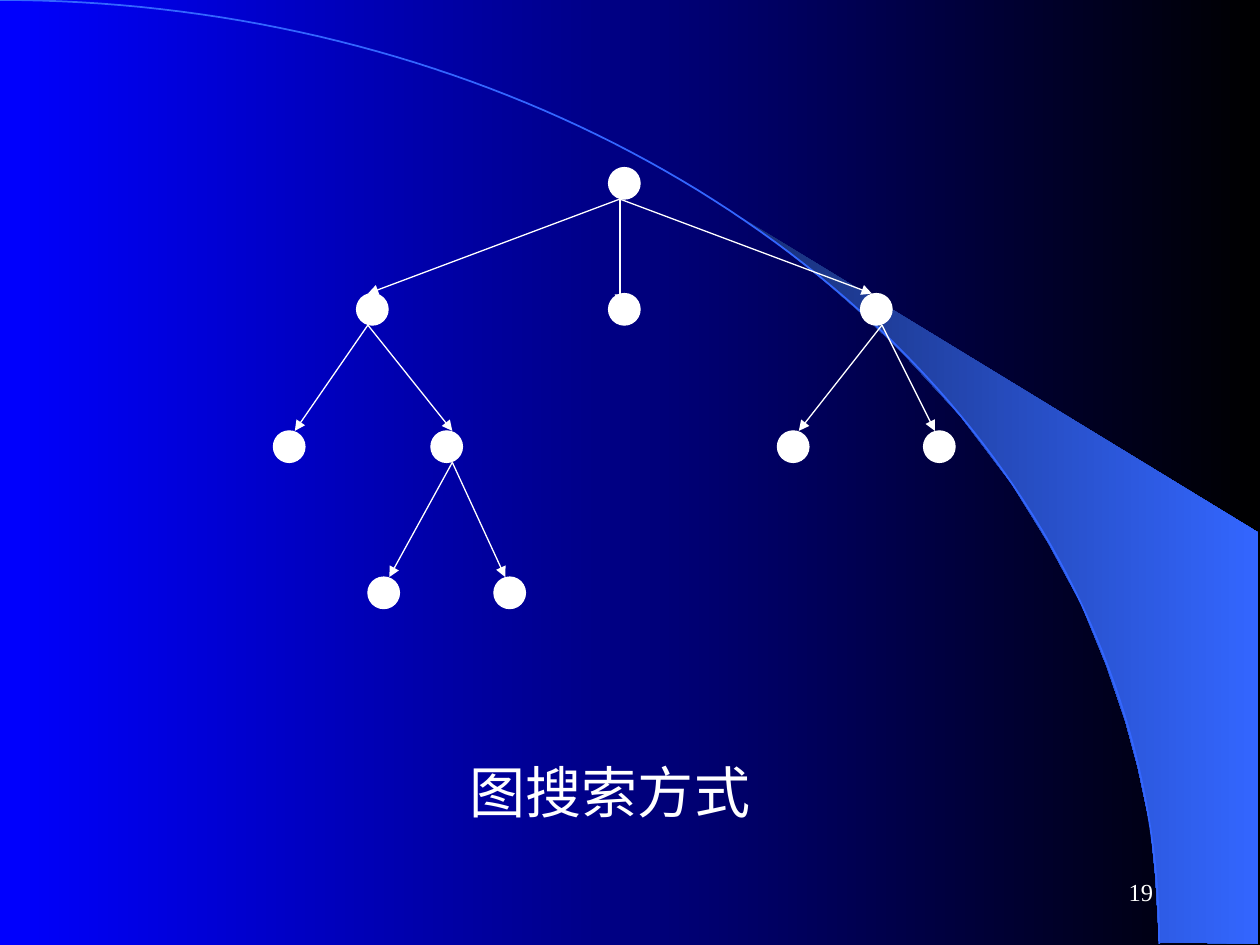
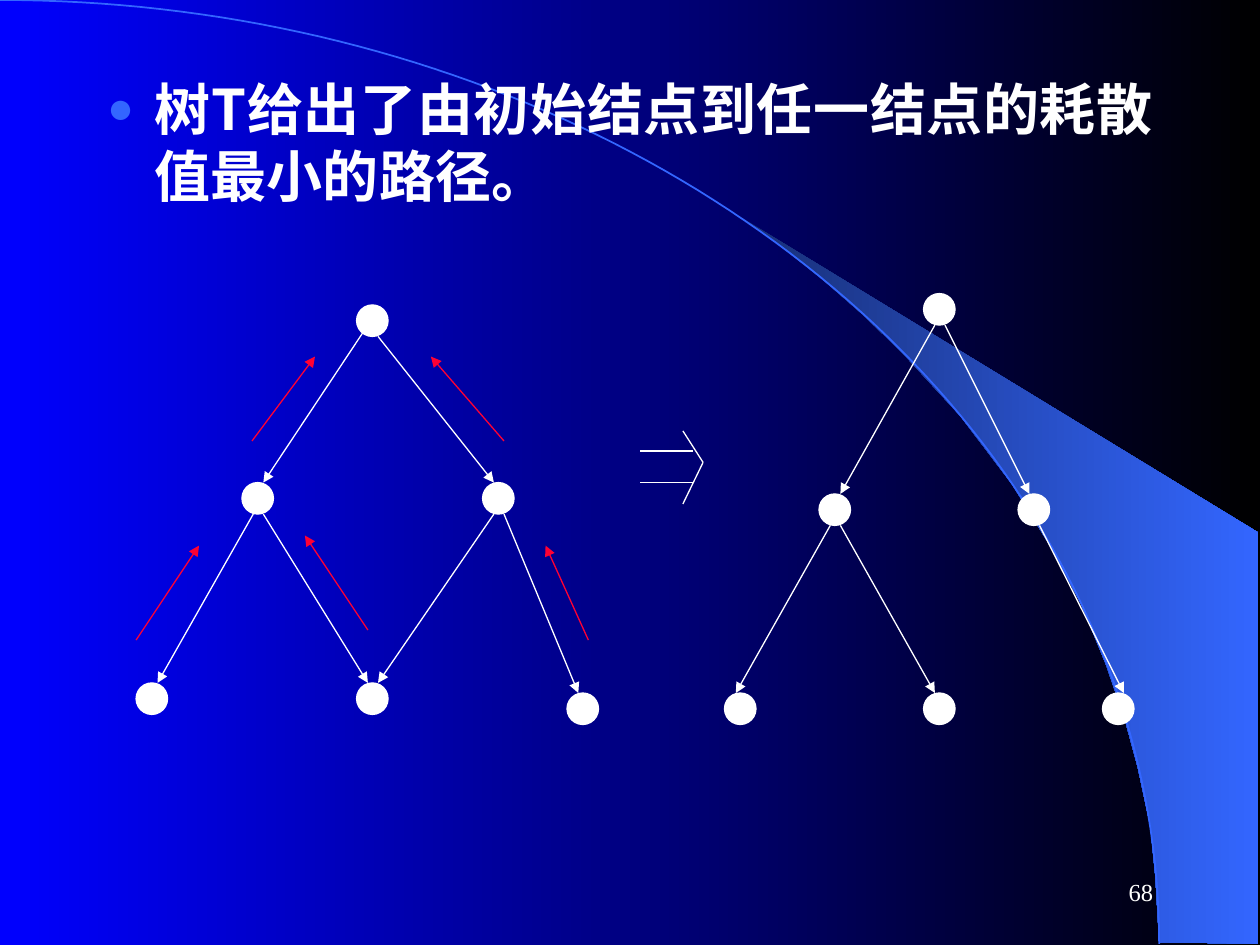
from math import cos, pi, sin

from pptx import Presentation
from pptx.dml.color import RGBColor
from pptx.enum.shapes import MSO_CONNECTOR, MSO_SHAPE
from pptx.enum.text import MSO_ANCHOR, MSO_AUTO_SIZE, PP_ALIGN
from pptx.oxml.ns import qn
from pptx.util import Inches, Pt

STRAIGHT = MSO_CONNECTOR.STRAIGHT
ELLIPSE = MSO_SHAPE.OVAL
LEFT, RIGHT, JUSTIFY = PP_ALIGN.LEFT, PP_ALIGN.RIGHT, PP_ALIGN.JUSTIFY

WHITE, BLACK, BLUE = "FFFFFF", "000000", "0000FF"
ACCENT, DEEP, RED = "3366FF", "182F76", "FF0033"
BODY_FONT, NUMBER_FONT = "Noto Sans CJK SC", "Times New Roman"

NODE = 0.25
NEAR, FAR = 0.09, 0.17  # where an edge meets a node, from its left side

ARC_WIDTH, ARC_HEIGHT = 9.2, 7.49
BEAM = [
    (9.2, 7.48), (9.99, 7.49), (9.99, 4.23), (5.89, 1.73), (6.24, 1.99),
    (6.53, 2.22), (6.85, 2.5), (7.16, 2.8), (7.62, 3.3), (8.03, 3.84),
    (8.32, 4.31), (8.58, 4.79), (8.78, 5.28), (8.93, 5.72), (9.03, 6.09),
    (9.13, 6.56), (9.17, 6.96),
]

# Nodes: name -> left, top. Edges: parent, child, exit offset, entry offset.
SEARCH_TREE = {
    "nodes": {
        "root": (4.83, 1.33), "middle": (4.83, 2.33),
        "left": (2.83, 2.33), "right": (6.83, 2.33),
        "left 1": (2.17, 3.42), "left 2": (3.42, 3.42),
        "right 1": (6.17, 3.42), "right 2": (7.33, 3.42),
        "leaf 1": (2.92, 4.58), "leaf 2": (3.92, 4.58),
    },
    "edges": [
        ("root", "middle", NEAR, NEAR), ("root", "left", NEAR, NEAR),
        ("root", "right", NEAR, NEAR), ("left", "left 1", NEAR, FAR),
        ("left", "left 2", NEAR, FAR), ("left 2", "leaf 1", FAR, FAR),
        ("left 2", "leaf 2", FAR, NEAR), ("right", "right 1", FAR, FAR),
        ("right", "right 2", FAR, NEAR),
    ],
    "overlaps": {("root", "middle"): (0, 0.09)},
}
GRAPH = {
    "nodes": {
        "top": (2.83, 2.42), "left": (1.92, 3.83), "right": (3.83, 3.83),
        "shared": (2.83, 5.42), "leaf 1": (1.08, 5.42), "leaf 2": (4.5, 5.5),
    },
    "edges": [
        ("top", "left", NEAR, FAR), ("top", "right", FAR, NEAR),
        ("left", "leaf 1", NEAR, FAR), ("left", "shared", FAR, NEAR),
        ("right", "shared", NEAR, FAR), ("right", "leaf 2", FAR, NEAR),
    ],
    "overlaps": {("top", "left"): (0.09, 0)},
}
PATH_TREE = {
    "nodes": {
        "top": (7.33, 2.33), "left": (6.5, 3.92), "right": (8.08, 3.92),
        "leaf 1": (5.75, 5.5), "leaf 2": (7.33, 5.5), "leaf 3": (8.75, 5.5),
    },
    "edges": [
        ("top", "left", NEAR, FAR), ("top", "right", FAR, NEAR),
        ("left", "leaf 1", NEAR, NEAR), ("left", "leaf 2", FAR, NEAR),
        ("right", "leaf 3", FAR, FAR),
    ],
    "overlaps": {},
}
BACK_POINTERS = [
    ((2, 3.5), (2.5, 2.83)), ((1.08, 5.08), (1.58, 4.33)),
    ((2.92, 5), (2.42, 4.25)), ((4, 3.5), (3.42, 2.83)),
    ((4.67, 5.08), (4.33, 4.33)),
]
IMPLIES_SIGN = [
    ((5.08, 3.58), (5.5, 3.58)), ((5.08, 3.83), (5.5, 3.83)),
    ((5.58, 3.67), (5.42, 3.42)), ((5.58, 3.67), (5.42, 4)),
]
PAGES = [
    {
        "number": "19", "text": "图搜索方式", "top": 5.92, "height": 0.75,
        "bold": False, "bullet": False, "align": LEFT, "indent": (2.88, 0),
        "diagrams": [SEARCH_TREE], "pointers": [], "sign": [],
    },
    {
        "number": "68", "text": "树T给出了由初始结点到任一结点的耗散值最小的路径。",
        "top": 0.5, "height": 1.42,
        "bold": True, "bullet": True, "align": JUSTIFY, "indent": (0.38, -0.38),
        "diagrams": [GRAPH, PATH_TREE],
        "pointers": BACK_POINTERS, "sign": IMPLIES_SIGN,
    },
]


def rgb(color):
    return RGBColor.from_string(color)


def add_child(parent, tag, **attributes):
    child = parent.makeelement(qn(tag), attributes)
    parent.append(child)
    return child


def fill_gradient(fill, start, end):
    fill.gradient()
    fill.gradient_angle = 0
    for stop, color in zip(fill.gradient_stops, (start, end)):
        stop.color.rgb = rgb(color)


def add_outline(page, points, close):
    corners = [(Inches(x), Inches(y)) for x, y in points]
    builder = page.shapes.build_freeform(*corners[0])
    builder.add_line_segments(corners[1:], close=close)
    outline = builder.convert_to_shape()
    outline.shadow.inherit = False
    return outline


def add_backdrop(page):
    fill_gradient(page.background.fill, BLUE, BLACK)
    beam = add_outline(page, BEAM, True)
    fill_gradient(beam.fill, DEEP, ACCENT)
    beam.line.fill.background()

    steps = 90
    angles = [pi / 2 * step / steps for step in range(steps + 1)]
    arc = add_outline(
        page, [(ARC_WIDTH * sin(a), ARC_HEIGHT * (1 - cos(a))) for a in angles], False)
    arc.fill.background()
    arc.line.color.rgb = rgb(ACCENT)
    arc.line.width = Pt(1)


def add_span(para, text, font, size, bold=False):
    span = para.add_run()
    span.text = text
    span.font.name = font
    span.font.size = Pt(size)
    span.font.bold = bold
    span.font.color.rgb = rgb(WHITE)
    add_child(span.font._element, "a:ea", typeface=font)


def add_page_number(page, number):
    box = page.shapes.add_textbox(Inches(7.17), Inches(6.83), Inches(2.08), Inches(0.5))
    frame = box.text_frame
    frame.word_wrap = True
    frame.vertical_anchor = MSO_ANCHOR.MIDDLE
    para = frame.paragraphs[0]
    para.alignment = RIGHT
    add_span(para, number, NUMBER_FONT, 14)


def fill_body(body, content):
    body.left, body.top = Inches(0.75), Inches(content["top"])
    body.width, body.height = Inches(8.5), Inches(content["height"])
    frame = body.text_frame
    frame.word_wrap = True
    frame.auto_size = MSO_AUTO_SIZE.NONE
    frame.vertical_anchor = MSO_ANCHOR.TOP
    frame.margin_top = Inches(0.1)
    para = frame.paragraphs[0]
    para.alignment = content["align"]
    para.line_spacing = Pt(38)
    para.space_before = Pt(0)
    settings = para._p.get_or_add_pPr()
    margin, first_line = content["indent"]
    settings.set("marL", str(Inches(margin)))
    settings.set("indent", str(Inches(first_line)))
    if content["bullet"]:
        add_child(add_child(settings, "a:buClr"), "a:srgbClr", val=ACCENT)
        add_child(settings, "a:buSzPct", val="80000")
        add_child(settings, "a:buChar", char="●")
    else:
        add_child(settings, "a:buNone")
    add_span(para, content["text"], BODY_FONT, 32, content["bold"])


def add_line(page, start, end, color=WHITE, arrow=True):
    ends = [Inches(value) for value in (*start, *end)]
    line = page.shapes.add_connector(STRAIGHT, *ends)
    line.line.color.rgb = rgb(color)
    line.line.width = Pt(0.75)
    properties = line.element.spPr
    if arrow:
        add_child(properties.find(qn("a:ln")), "a:tailEnd", type="triangle")
    add_child(properties, "a:effectLst")


def add_diagram(page, diagram):
    nodes = diagram["nodes"]
    for left, top in nodes.values():
        node = page.shapes.add_shape(
            ELLIPSE, Inches(left), Inches(top), Inches(NODE), Inches(NODE))
        node.shadow.inherit = False
        node.fill.solid()
        node.fill.fore_color.rgb = rgb(WHITE)
        node.line.color.rgb = rgb(WHITE)
        node.line.width = Pt(0.75)
    for parent, child, exit_offset, entry_offset in diagram["edges"]:
        in_parent, in_child = diagram["overlaps"].get((parent, child), (0, 0))
        (parent_left, parent_top), (child_left, child_top) = nodes[parent], nodes[child]
        add_line(page,
                 (parent_left + exit_offset, parent_top + NODE - in_parent),
                 (child_left + entry_offset, child_top + in_child))


def add_page(deck, content):
    page = deck.slides.add_slide(deck.slide_layouts.get_by_name("Title and Content"))
    title = page.shapes.title.element
    title.getparent().remove(title)
    body = page.placeholders[1]
    add_backdrop(page)
    add_page_number(page, content["number"])
    fill_body(body, content)
    page.shapes._spTree.append(body.element)  # bring the text in front of the backdrop
    for diagram in content["diagrams"]:
        add_diagram(page, diagram)
    for start, end in content["pointers"]:
        add_line(page, start, end, RED)
    for start, end in content["sign"]:
        add_line(page, start, end, arrow=False)


def main():
    deck = Presentation()
    deck.slide_width, deck.slide_height = Inches(10), Inches(7.5)
    for content in PAGES:
        add_page(deck, content)
    deck.save("out.pptx")


if __name__ == "__main__":
    main()
